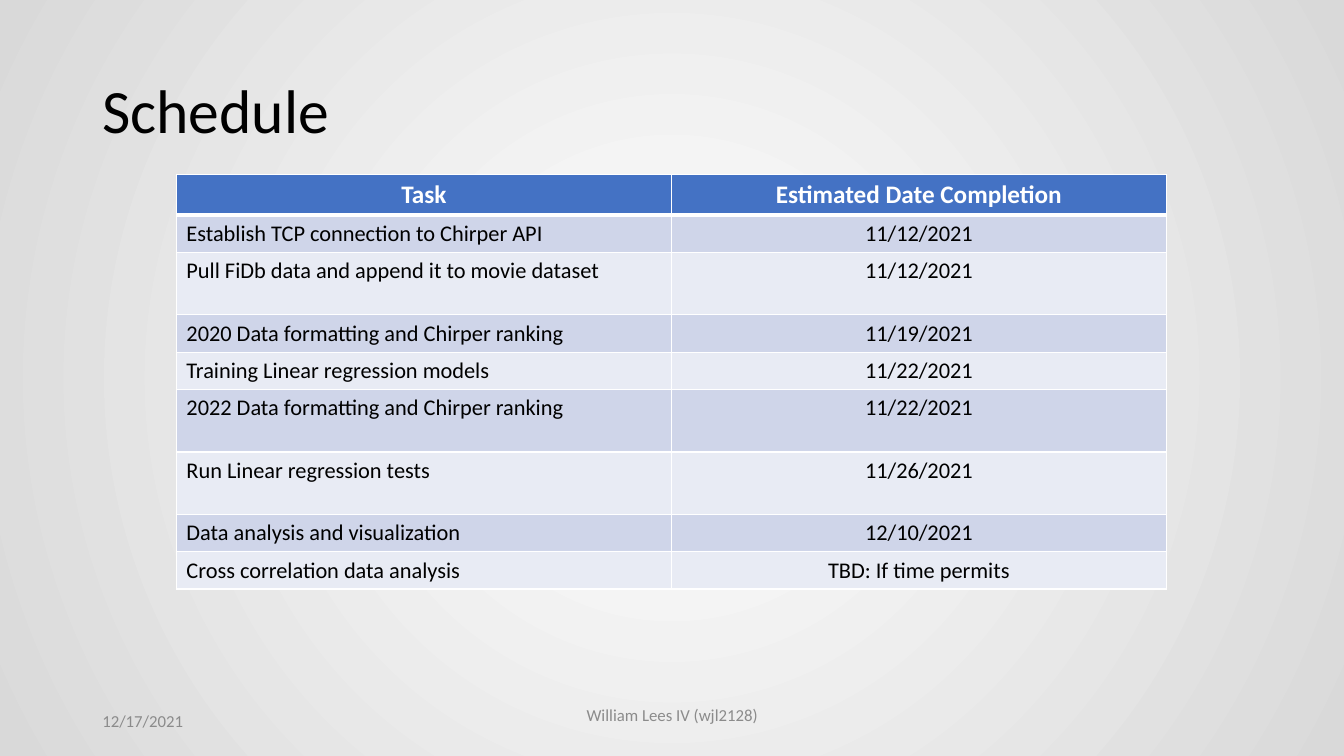
from lxml import etree
from pptx import Presentation
from pptx.dml import color
from pptx.enum import text
from pptx.oxml import ns
from pptx.util import Pt

# Content
TASKS = [
    ("Task", "Estimated Date Completion"),
    ("Establish TCP connection to Chirper API", "11/12/2021"),
    ("Pull FiDb data and append it to movie dataset", "11/12/2021"),
    ("2020 Data formatting and Chirper ranking", "11/19/2021"),
    ("Training Linear regression models", "11/22/2021"),
    ("2022 Data formatting and Chirper ranking", "11/22/2021"),
    ("Run Linear regression tests", "11/26/2021"),
    ("Data analysis and visualization", "12/10/2021"),
    ("Cross correlation data analysis", "TBD: If time permits"),
]
COLORS = {
    "black": "000000", "white": "FFFFFF", "gray": "8B8B8B", "edge": "D9D9D9",
    "header": "4472C4", "odd": "CFD5E9", "even": "E8EBF4",
}
LEFT, CENTER = text.PP_ALIGN.LEFT, text.PP_ALIGN.CENTER
# Text, box (left, top, width, height), size, colour, alignment, line spacing
TEXTS = [
    ("Schedule", (66, 28.8, 828, 104.4), 44, "black", LEFT, 0.9),
    ("12/17/2021", (66, 500.4, 216, 28.8), 12, "gray", LEFT, 1.0),
    ("William Lees IV (wjl2128)", (411, 500, 138.5, 21.6), 12, "gray", CENTER, 1.0),
]

# Table layout
TABLE_LEFT, TABLE_TOP, COLUMN_WIDTH = 126, 124.8, 353.6
HEADER_HEIGHT, ROW_HEIGHT, TALL_HEIGHT = 28, 26.7, 44.6
TALL_ROWS = {2, 5, 6}
THIN, THICK = 0.96, 3


def rgb(name):
    return color.RGBColor.from_string(COLORS[name])


def write(frame, words, alignment, size, ink, bold=False):
    frame.text = words
    paragraph = frame.paragraphs[0]
    paragraph.alignment = alignment
    font = paragraph.runs[0].font
    formats = {"name": "Calibri", "size": Pt(size), "bold": bold}
    for key, value in formats.items():
        setattr(font, key, value)
    font.color.rgb = rgb(ink)
    return paragraph


def add_borders(cell, widths):
    properties = cell._tc.get_or_add_tcPr()
    for index, (side, width) in enumerate(widths.items()):
        line = etree.Element(ns.qn(f"a:ln{side}"), w=str(Pt(width)))
        fill = etree.SubElement(line, ns.qn("a:solidFill"))
        etree.SubElement(fill, ns.qn("a:srgbClr"), val=COLORS["white"])
        properties.insert(index, line)


def paint_background(slide):
    fill = slide.background.fill
    fill.gradient()
    for stop, name in zip(fill.gradient_stops, ("white", "edge")):
        stop.color.rgb = rgb(name)
    # Radial shading from the middle of the slide
    linear = next(slide._element.iter(ns.qn("a:lin")))
    radial = etree.Element(ns.qn("a:path"), {"path": "circle"})
    middle = dict.fromkeys("ltrb", "50000")
    etree.SubElement(radial, ns.qn("a:fillToRect"), middle)
    linear.getparent().replace(linear, radial)


def add_text(slide, words, box, size, ink, alignment, spacing):
    frame = slide.shapes.add_textbox(*map(Pt, box)).text_frame
    formats = {"word_wrap": True, "vertical_anchor": text.MSO_ANCHOR.MIDDLE}
    for key, value in formats.items():
        setattr(frame, key, value)
    write(frame, words, alignment, size, ink).line_spacing = spacing


def add_schedule(slide):
    heights = [TALL_HEIGHT if row in TALL_ROWS else ROW_HEIGHT
               for row in range(len(TASKS))]
    heights[0] = HEADER_HEIGHT
    columns = len(TASKS[0])
    table = slide.shapes.add_table(
        len(TASKS), columns, Pt(TABLE_LEFT), Pt(TABLE_TOP),
        Pt(COLUMN_WIDTH * columns), Pt(sum(heights))).table
    for column in table.columns:
        column.width = Pt(COLUMN_WIDTH)
    for row, (entries, height) in enumerate(zip(TASKS, heights)):
        table.rows[row].height = Pt(height)
        header = row == 0
        shade = "header" if header else ("even", "odd")[row % 2]
        size, ink = (18, "white") if header else (16, "black")
        borders = {"L": THIN, "R": THIN, "T": THICK if row == 1 else THIN,
                   "B": THICK if header else THIN}
        for column, words in enumerate(entries):
            cell = table.cell(row, column)
            alignment = CENTER if header or column else LEFT
            write(cell.text_frame, words, alignment, size, ink, header)
            cell.fill.solid()
            cell.fill.fore_color.rgb = rgb(shade)
            add_borders(cell, borders)


def main():
    presentation = Presentation()
    presentation.slide_width, presentation.slide_height = Pt(960), Pt(540)
    slide = presentation.slides.add_slide(presentation.slide_layouts[6])
    paint_background(slide)
    for entry in TEXTS:
        add_text(slide, *entry)
    add_schedule(slide)
    presentation.save("out.pptx")


if __name__ == "__main__":
    main()
